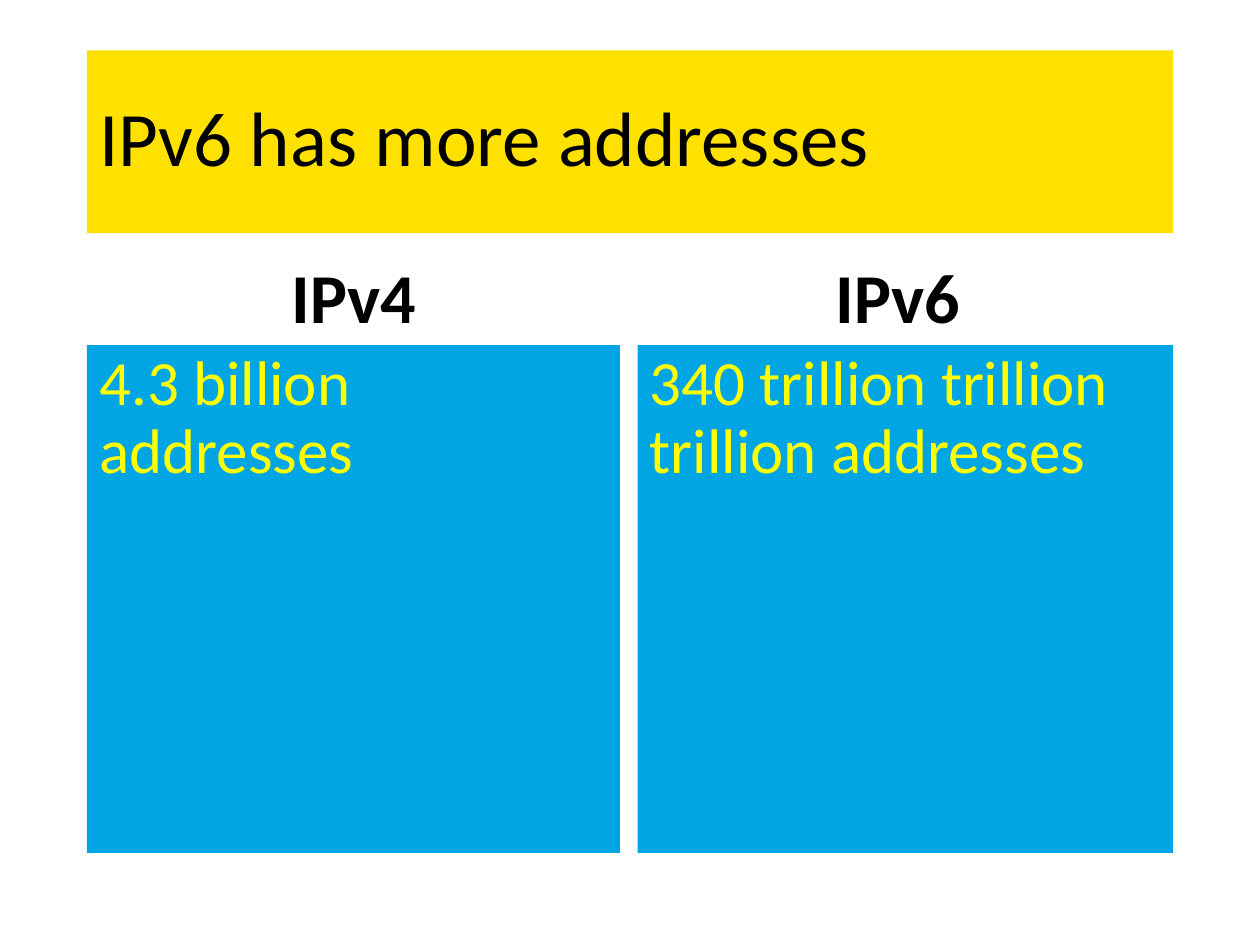
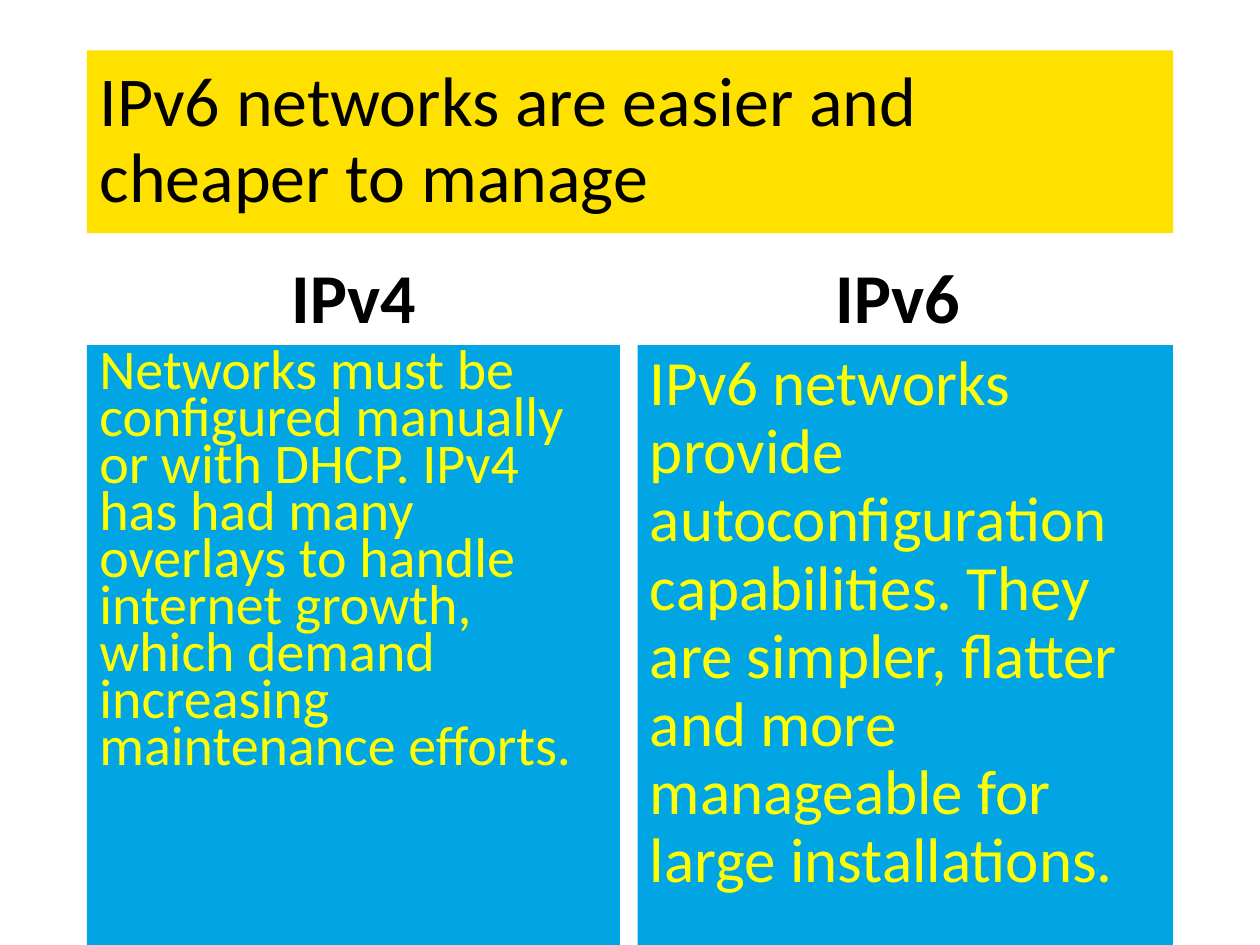
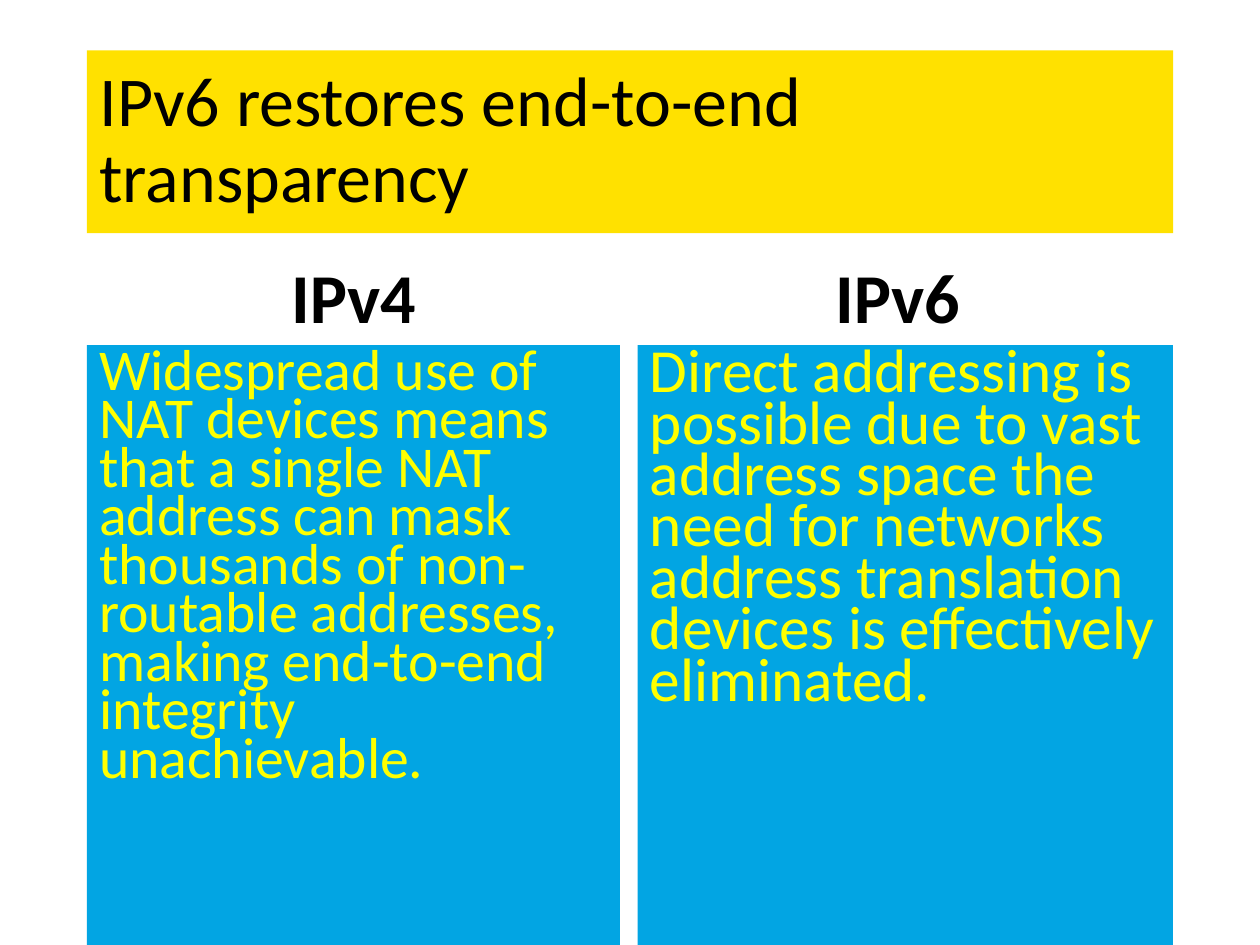
"""Build three slides that compare IPv4 with IPv6."""
from dataclasses import dataclass

from pptx import Presentation
from pptx.dml.color import RGBColor
from pptx.enum.shapes import MSO_SHAPE
from pptx.enum.text import MSO_ANCHOR, MSO_AUTO_SIZE, PP_ALIGN
from pptx.util import Inches, Pt

RECTANGLE = MSO_SHAPE.RECTANGLE
TOP, MIDDLE, BOTTOM = MSO_ANCHOR.TOP, MSO_ANCHOR.MIDDLE, MSO_ANCHOR.BOTTOM
LEFT, CENTER = PP_ALIGN.LEFT, PP_ALIGN.CENTER
FIXED_SIZE = MSO_AUTO_SIZE.NONE

COLORS = {"band": "FFE100", "panel": "02A5E3", "ink": "000000", "panel_text": "FFFF00"}
FONT = "Calibri"
SLIDE_WIDTH, SLIDE_HEIGHT = Inches(10), Inches(7.5)
GRID_COLUMNS, GRID_ROWS = 100, 75
TITLE_ONLY = 5


@dataclass(frozen=True)
class Area:
    """A rectangle in grid columns and rows."""
    column: float
    row: float
    columns: float
    rows: float


@dataclass(frozen=True)
class TextStyle:
    """The format of a text block."""
    size: float
    color: str = "ink"
    bold: bool = False
    align: int = LEFT
    anchor: int = TOP
    spacing: float = 0.9
    before: float = 10


@dataclass(frozen=True)
class Panel:
    """The text of one side of a comparison."""
    text: str
    size: float = 36
    spacing: float = 0.9


@dataclass(frozen=True)
class Comparison:
    """The content of one slide."""
    title: str
    title_size: float
    panel_rows: float
    panels: tuple[Panel, Panel]


TITLE_AREA = Area(6.9, 4, 86.2, 14.5)
SIDES = (("IPv4", 6.9, 42.3), ("IPv6 ", 50.6, 42.5))
HEADING_ROW, HEADING_ROWS = 18.4, 9
PANEL_ROW = HEADING_ROW + HEADING_ROWS
FULL_ROWS = GRID_ROWS - PANEL_ROW
HEADING_STYLE = TextStyle(40, bold=True, align=CENTER, anchor=BOTTOM)

COMPARISONS = (
    Comparison("IPv6 has more addresses", 44, 40.3, (
        Panel("4.3 billion addresses"),
        Panel("340 trillion trillion trillion addresses"),
    )),
    Comparison("IPv6 networks are easier and cheaper to manage", 40, FULL_ROWS, (
        Panel("Networks must be configured manually or with DHCP. IPv4 has had many "
              "overlays to handle internet growth, which demand increasing "
              "maintenance efforts.", 32, 0.7),
        Panel("IPv6 networks provide autoconfiguration capabilities. They are "
              "simpler, flatter and more manageable for large installations."),
    )),
    Comparison("IPv6 restores end-to-end transparency", 40, FULL_ROWS, (
        Panel("Widespread use of NAT devices means that a single NAT address can "
              "mask thousands of non-routable addresses, making end-to-end "
              "integrity unachievable.", 33, 0.7),
        Panel("Direct addressing is possible due to vast address space the need for "
              "networks address translation devices is effectively eliminated.", 35, 0.7),
    )),
)


def set_values(target, values: dict) -> None:
    """Set each named attribute of the target."""
    for name, value in values.items():
        setattr(target, name, value)


def to_lengths(area: Area) -> dict:
    """Turn a grid area into slide lengths."""
    column, row = SLIDE_WIDTH / GRID_COLUMNS, SLIDE_HEIGHT / GRID_ROWS
    return {"left": round(area.column * column), "top": round(area.row * row),
            "width": round(area.columns * column), "height": round(area.rows * row)}


def paint(box, color: str) -> None:
    """Fill the box with one colour and hide its outline."""
    box.fill.solid()
    box.fill.fore_color.rgb = RGBColor.from_string(COLORS[color])
    box.line.fill.background()


def write(box, text: str, style: TextStyle) -> None:
    """Write one formatted paragraph into the box."""
    frame = box.text_frame
    set_values(frame, {"word_wrap": True, "auto_size": FIXED_SIZE,
                       "vertical_anchor": style.anchor})
    para = frame.paragraphs[0]
    set_values(para, {"alignment": style.align, "line_spacing": style.spacing,
                      "space_before": Pt(style.before)})
    span = para.add_run()
    span.text = text
    set_values(span.font, {"name": FONT, "size": Pt(style.size), "bold": style.bold})
    span.font.color.rgb = RGBColor.from_string(COLORS[style.color])


def add_title(page, text: str, size: float) -> None:
    """Place the title on its yellow band."""
    title = page.shapes.title
    set_values(title, to_lengths(TITLE_AREA))
    paint(title, "band")
    write(title, text, TextStyle(size, anchor=MIDDLE, before=0))


def add_heading(page, text: str, area: Area) -> None:
    """Add the heading above a panel."""
    box = page.shapes.add_textbox(**to_lengths(area))
    write(box, text, HEADING_STYLE)


def add_panel(page, panel: Panel, area: Area) -> None:
    """Add a blue panel with its text."""
    box = page.shapes.add_shape(RECTANGLE, **to_lengths(area))
    box.shadow.inherit = False
    paint(box, "panel")
    write(box, panel.text, TextStyle(panel.size, "panel_text", spacing=panel.spacing))


def add_comparison(deck, comparison: Comparison) -> None:
    """Add one slide with a title and two sides."""
    page = deck.slides.add_slide(deck.slide_layouts[TITLE_ONLY])
    add_title(page, comparison.title, comparison.title_size)
    for (heading, column, columns), panel in zip(SIDES, comparison.panels):
        add_heading(page, heading, Area(column, HEADING_ROW, columns, HEADING_ROWS))
        add_panel(page, panel, Area(column, PANEL_ROW, columns, comparison.panel_rows))


def main() -> None:
    """Build and save the deck."""
    deck = Presentation()
    set_values(deck, {"slide_width": SLIDE_WIDTH, "slide_height": SLIDE_HEIGHT})
    for comparison in COMPARISONS:
        add_comparison(deck, comparison)
    deck.save("out.pptx")


if __name__ == "__main__":
    main()
